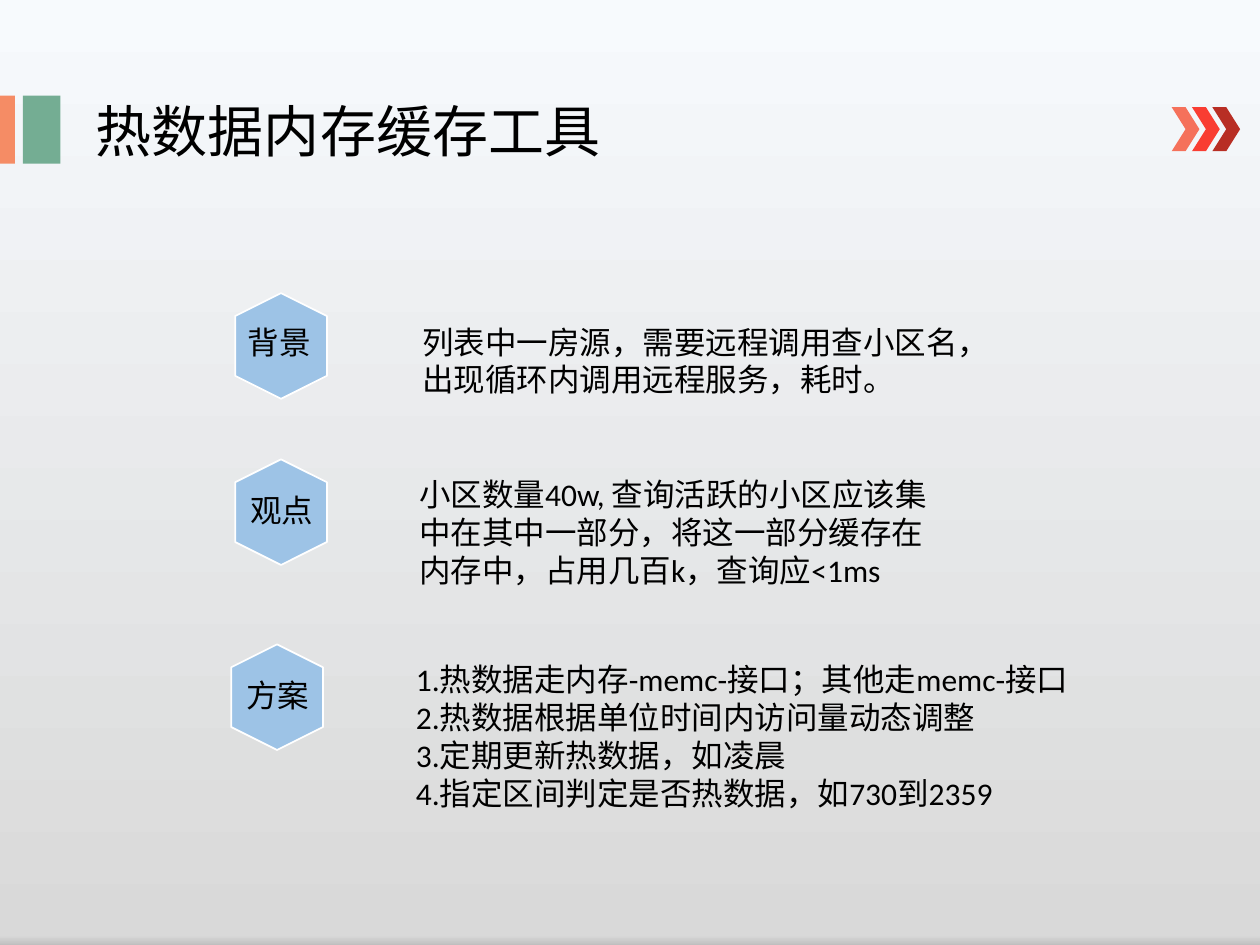
from copy import deepcopy
from dataclasses import dataclass

from lxml.etree import SubElement
from pptx import Presentation
from pptx.dml.color import RGBColor
from pptx.enum.shapes import MSO_SHAPE
from pptx.enum.text import MSO_ANCHOR, MSO_AUTO_SIZE, PP_ALIGN
from pptx.oxml.ns import qn
from pptx.util import Cm, Pt


@dataclass(frozen=True)
class Theme:
    """Colours and type of the slide."""
    font: str = "Calibri"
    title_size: int = 32
    text_size: int = 18
    ink: str = "000000"
    hexagon: str = "9DC3E6"
    outline: str = "FFFFFF"
    bars: tuple = ("F58C65", "74AD93")
    chevrons: tuple = ("F5715B", "F93D32", "B82E24")
    backdrop: tuple = ((0, "F7FAFD"), (0.99, "D9D9D9"), (1, "BFBFBF"))


@dataclass(frozen=True)
class Box:
    """A region of the slide in centimetres."""
    left: float
    top: float
    width: float
    height: float

    def inner(self, dx, dy, width, height):
        """Return a box offset from this one."""
        return Box(self.left + dx, self.top + dy, width, height)

    def lengths(self):
        """Return left, top, width and height as lengths."""
        return Cm(self.left), Cm(self.top), Cm(self.width), Cm(self.height)


@dataclass(frozen=True)
class Topic:
    """A labelled row with its offsets inside the row box."""
    label: str
    detail: str
    box: Box
    label_offset: tuple
    detail_offset: tuple


THEME = Theme()
TOPICS = (
    Topic("背景", "列表中一房源，需要远程调用查小区名，出现循环内调用远程服务，耗时。",
          Box(4.6, 6.05, 15.45, 2.13), (0.15, 0.33), (3.66, 0.33)),
    Topic("观点", "小区数量40w, 查询活跃的小区应该集中在其中一部分，将这一部分缓存在内存中，占用几百k，查询应<1ms",
          Box(4.6, 9.4, 14.52, 2.62), (0.2, 0.38), (3.6, 0.05)),
    Topic("方案", "1.热数据走内存-memc-接口；其他走memc-接口\n"
          "2.热数据根据单位时间内访问量动态调整\n"
          "3.定期更新热数据，如凌晨\n"
          "4.指定区间判定是否热数据，如730到2359",
          Box(4.52, 13.13, 17.63, 3.38), (0.2, 0.38), (3.61, 0.05)),
)


def paint_backdrop(slide):
    """Fill the background with the vertical gradient."""
    fill = slide.background.fill
    fill.gradient()
    fill.gradient_angle = 270
    stop_list = slide.element.find(".//" + qn("a:gsLst"))
    stop_list.append(deepcopy(stop_list[-1]))
    for stop, (position, colour) in zip(fill.gradient_stops, THEME.backdrop):
        stop.position = position
        stop.color.rgb = RGBColor.from_string(colour)


def add_solid(shapes, preset, box, colour):
    """Add a flat filled shape without outline."""
    solid = shapes.add_shape(preset, *box.lengths())
    solid.shadow.inherit = False
    solid.fill.solid()
    solid.fill.fore_color.rgb = RGBColor.from_string(colour)
    solid.line.fill.background()
    return solid


def write(holder, text, size, anchor=MSO_ANCHOR.TOP):
    """Set and format left-aligned text."""
    frame = holder.text_frame
    frame.text = text
    frame.word_wrap = True
    frame.vertical_anchor = anchor
    for paragraph in frame.paragraphs:
        paragraph.alignment = PP_ALIGN.LEFT
        for run in paragraph.runs:
            run.font.name = THEME.font
            run.font.size = Pt(size)
            run.font.color.rgb = RGBColor.from_string(THEME.ink)


def place(holder, box):
    """Move a placeholder to a box."""
    holder.left, holder.top, holder.width, holder.height = box.lengths()


def add_text(slide, text, box):
    """Add a wrapped text box."""
    caption = slide.shapes.add_textbox(*box.lengths())
    write(caption, text, THEME.text_size)
    caption.text_frame.auto_size = MSO_AUTO_SIZE.SHAPE_TO_FIT_TEXT


def fill_list(body, text, box):
    """Put a typed numbered list in the body placeholder."""
    place(body, box)
    write(body, text, THEME.text_size)
    body.text_frame.auto_size = MSO_AUTO_SIZE.NONE
    for paragraph in body.text_frame.paragraphs:
        properties = paragraph._p.get_or_add_pPr()
        properties.set("marL", "0")
        properties.set("indent", "0")
        SubElement(properties, qn("a:buNone"))
        paragraph.space_before = Pt(0)


def add_header(slide, box):
    """Place the bars, title and chevrons."""
    bars = slide.shapes.add_group_shape().shapes
    for colour, (dx, width) in zip(THEME.bars, ((0, 0.3), (0.46, 0.76))):
        add_solid(bars, MSO_SHAPE.RECTANGLE, box.inner(dx, 0.13, width, 1.37), colour)
    title = slide.shapes.title
    place(title, box.inner(1.68, 0, 17.7, 1.63))
    write(title, "热数据内存缓存工具", THEME.title_size, MSO_ANCHOR.MIDDLE)
    chevrons = slide.shapes.add_group_shape().shapes
    for index, colour in enumerate(THEME.chevrons):
        add_solid(chevrons, MSO_SHAPE.CHEVRON,
                  box.inner(23.62 + index * 0.41, 0.36, 0.56, 0.89), colour)


def add_topic(slide, topic, body=None):
    """Place one hexagon with its label and detail."""
    box = topic.box
    hexagon = add_solid(slide.shapes, MSO_SHAPE.HEXAGON,
                        box.inner(0, 0, 2.13, 1.85), THEME.hexagon)
    hexagon.rotation = 90
    hexagon.line.color.rgb = RGBColor.from_string(THEME.outline)
    hexagon.line.width = Pt(1)
    add_text(slide, topic.label, box.inner(*topic.label_offset, 3.53, 1.02))
    dx, dy = topic.detail_offset
    detail_box = box.inner(dx, dy, box.width - dx, box.height - dy)
    if body is None:
        add_text(slide, topic.detail, detail_box)
    else:
        fill_list(body, topic.detail, detail_box)


def main():
    """Build and save the slide."""
    deck = Presentation()
    deck.slide_width, deck.slide_height = Cm(25.4), Cm(19.05)
    slide = deck.slides.add_slide(deck.slide_layouts[1])
    paint_backdrop(slide)
    add_header(slide, Box(0, 1.8, 25.4, 1.63))
    *remarks, plan = TOPICS
    for remark in remarks:
        add_topic(slide, remark)
    add_topic(slide, plan, slide.placeholders[1])
    deck.save("out.pptx")


if __name__ == "__main__":
    main()
